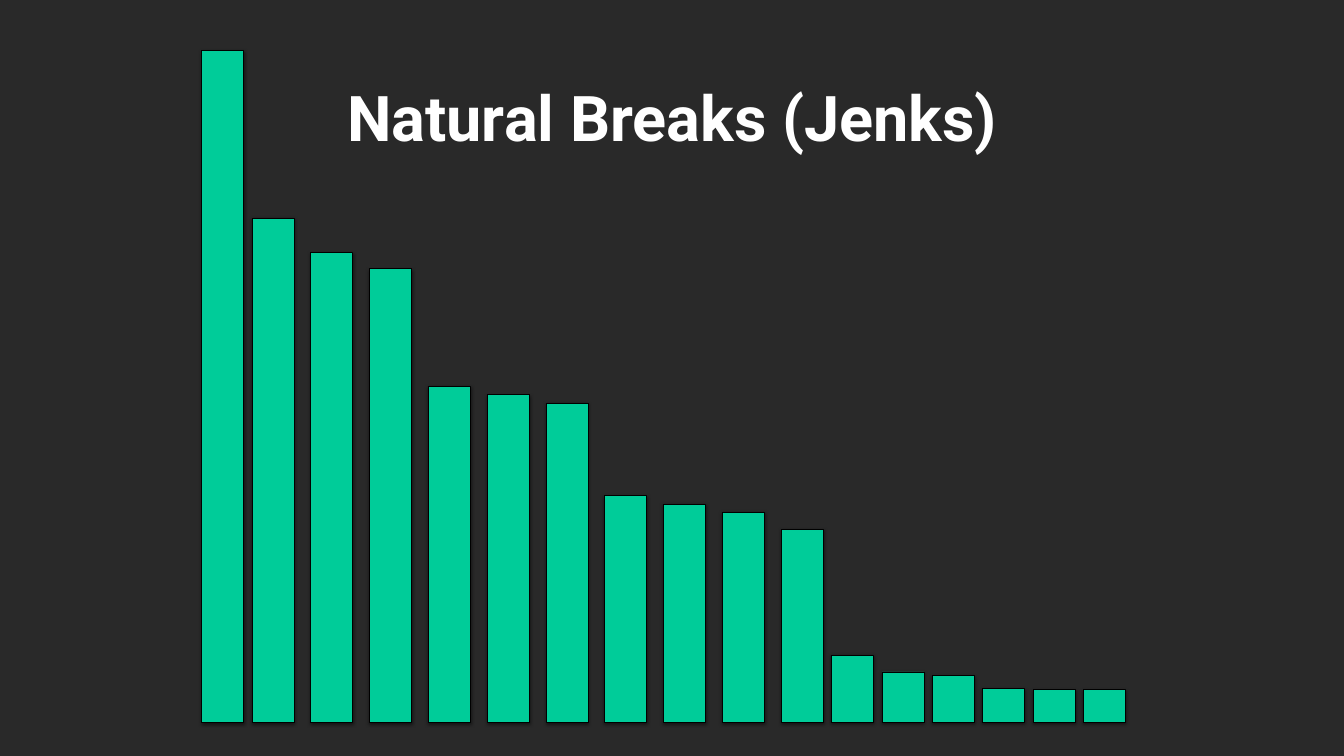
from itertools import accumulate

from lxml import etree
from pptx import Presentation
from pptx.dml.color import RGBColor
from pptx.enum import shapes, text
from pptx.oxml.ns import qn
from pptx.util import Pt

BAR_HEIGHTS = [960, 720, 672, 648, 480, 468, 456, 324, 312, 300, 276, 96, 72, 67, 48, 47, 47]
BAR_STEPS = [72] + [84] * 9 + [72] * 6
BAR_WIDTH = 60


def paint(color_format, color):
    """Give a fill a solid colour from a hex string."""
    color_format.solid()
    color_format.fore_color.rgb = RGBColor.from_string(color)


def add_shadow(shape):
    """Put a soft black shadow just below a shape."""
    shape.shadow.inherit = False
    effects = shape._element.spPr.find(qn("a:effectLst"))
    shadow = etree.SubElement(effects, qn("a:outerShdw"), blurRad=str(Pt(5)),
                              dist=str(Pt(2)), dir="5400000", rotWithShape="0")
    color = etree.SubElement(shadow, qn("a:srgbClr"), val="000000")
    etree.SubElement(color, qn("a:alpha"), val="50000")


def place_title(slide, left, top, width, height):
    """Fill the title placeholder and fit it to the given box."""
    title = slide.shapes.title
    title.left, title.top, title.width, title.height = map(Pt, (left, top, width, height))
    frame = title.text_frame
    frame.text = "Natural Breaks (Jenks)"
    frame.word_wrap = True
    frame.auto_size = text.MSO_AUTO_SIZE.NONE
    frame.vertical_anchor = text.MSO_ANCHOR.MIDDLE
    frame.margin_left = frame.margin_right = frame.margin_top = frame.margin_bottom = Pt(4)
    paragraph = frame.paragraphs[0]
    paragraph.alignment = text.PP_ALIGN.CENTER
    font = paragraph.font
    font.name, font.size, font.bold = "Roboto", Pt(90), True
    paint(font.fill, "FFFFFF")


def place_bars(slide, left, top, height):
    """Stand the descending bars on the bottom edge of the given box."""
    offsets = accumulate(BAR_STEPS, initial=0)
    for offset, bar_height in zip(offsets, BAR_HEIGHTS):
        bar = slide.shapes.add_shape(
            shapes.MSO_SHAPE.RECTANGLE, Pt(left + offset), Pt(top + height - bar_height),
            Pt(BAR_WIDTH), Pt(bar_height))
        paint(bar.fill, "00CC99")
        paint(bar.line.fill, "000000")
        bar.line.width = Pt(1)
        add_shadow(bar)


def main():
    """Build and save the slide."""
    presentation = Presentation()
    presentation.slide_width, presentation.slide_height = Pt(1920), Pt(1080)
    slide = presentation.slides.add_slide(presentation.slide_layouts[5])
    paint(slide.background.fill, "292929")
    place_title(slide, left=113, top=26, width=1695, height=281)
    place_bars(slide, left=288, top=72, height=960)
    presentation.save("out.pptx")


if __name__ == "__main__":
    main()
